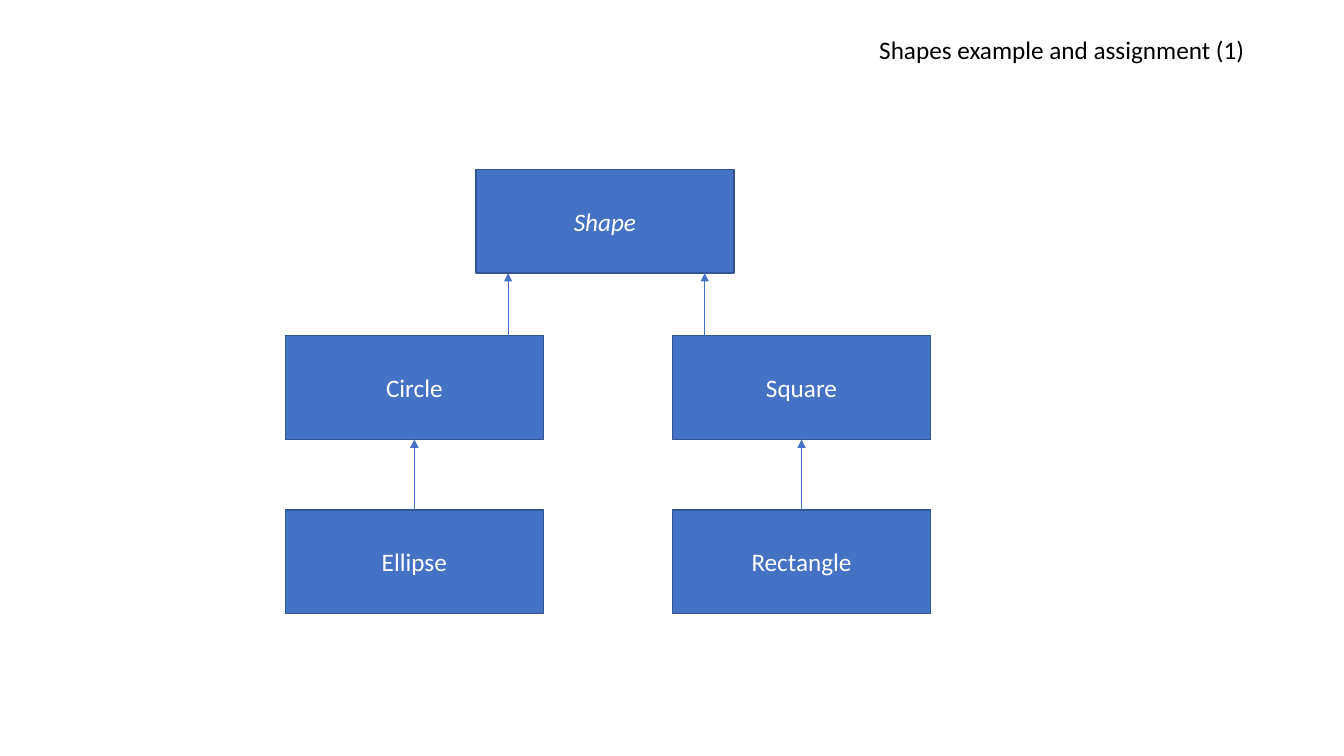
import pptx
import pptx.util
import pptx.dml.color
import pptx.enum.shapes
import pptx.enum.text
import lxml.etree
from pptx.util import Inches, Pt

BLUE = pptx.dml.color.RGBColor(0x44, 0x72, 0xC4)
DARK_BLUE = pptx.dml.color.RGBColor(0x32, 0x54, 0x91)
WHITE = pptx.dml.color.RGBColor(0xFF, 0xFF, 0xFF)
BLACK = pptx.dml.color.RGBColor(0, 0, 0)
FONT = "Calibri"

# Class grid, in inches
BOX_W, BOX_H = 2.56, 1.03
LEFT_COL, MIDDLE_COL, RIGHT_COL = 2.83, 4.72, 6.67
TOP_ROW, MIDDLE_ROW, BOTTOM_ROW = 1.68, 3.33, 5.06

deck = pptx.Presentation()
deck.slide_width, deck.slide_height = Inches(13.33), Inches(7.5)
slide = deck.slides.add_slide(deck.slide_layouts[5])


def style_text(paragraph, color, align):
    paragraph.alignment = align
    paragraph.font.name = FONT
    paragraph.font.size = Pt(18)
    paragraph.font.color.rgb = color


# Title
title = slide.shapes.title
title.left, title.top = Inches(8.62), Inches(0.29)
title.width, title.height = Inches(4.09), Inches(0.4)
title.text_frame.text = "Shapes example and assignment (1)"
title.text_frame.word_wrap = True
title.text_frame.auto_size = pptx.enum.text.MSO_AUTO_SIZE.NONE
title.text_frame.vertical_anchor = pptx.enum.text.MSO_ANCHOR.TOP
style_text(title.text_frame.paragraphs[0], BLACK, pptx.enum.text.PP_ALIGN.LEFT)

# Classes
classes = [
    ("Shape", MIDDLE_COL, TOP_ROW),
    ("Square", RIGHT_COL, MIDDLE_ROW),
    ("Rectangle", RIGHT_COL, BOTTOM_ROW),
    ("Circle", LEFT_COL, MIDDLE_ROW),
    ("Ellipse", LEFT_COL, BOTTOM_ROW),
]
for class_name, left, top in classes:
    box = slide.shapes.add_shape(
        pptx.enum.shapes.MSO_SHAPE.RECTANGLE,
        Inches(left), Inches(top), Inches(BOX_W), Inches(BOX_H))
    box.shadow.inherit = False
    box.fill.solid()
    box.fill.fore_color.rgb = BLUE
    box.line.color.rgb = DARK_BLUE
    box.line.width = Pt(1)
    box.text_frame.text = class_name
    box.text_frame.vertical_anchor = pptx.enum.text.MSO_ANCHOR.MIDDLE
    label = box.text_frame.paragraphs[0]
    style_text(label, WHITE, pptx.enum.text.PP_ALIGN.CENTER)
    if class_name == "Shape":  # abstract class
        label.font.italic = True

# Inheritance arrows: x, row of the subclass, row of its parent
inheritances = [
    (6.99, MIDDLE_ROW, TOP_ROW),
    (RIGHT_COL + BOX_W / 2, BOTTOM_ROW, MIDDLE_ROW),
    (5.04, MIDDLE_ROW, TOP_ROW),
    (LEFT_COL + BOX_W / 2, BOTTOM_ROW, MIDDLE_ROW),
]
for x, child_row, parent_row in inheritances:
    arrow = slide.shapes.add_connector(
        pptx.enum.shapes.MSO_CONNECTOR.STRAIGHT,
        Inches(x), Inches(child_row), Inches(x), Inches(parent_row + BOX_H))
    arrow.line.color.rgb = BLUE
    arrow.line.width = Pt(0.5)
    head = lxml.etree.SubElement(
        arrow.line._get_or_add_ln(), pptx.oxml.ns.qn("a:tailEnd"))
    head.set("type", "triangle")
    lxml.etree.SubElement(
        arrow._element.spPr, pptx.oxml.ns.qn("a:effectLst"))

deck.save("out.pptx")
